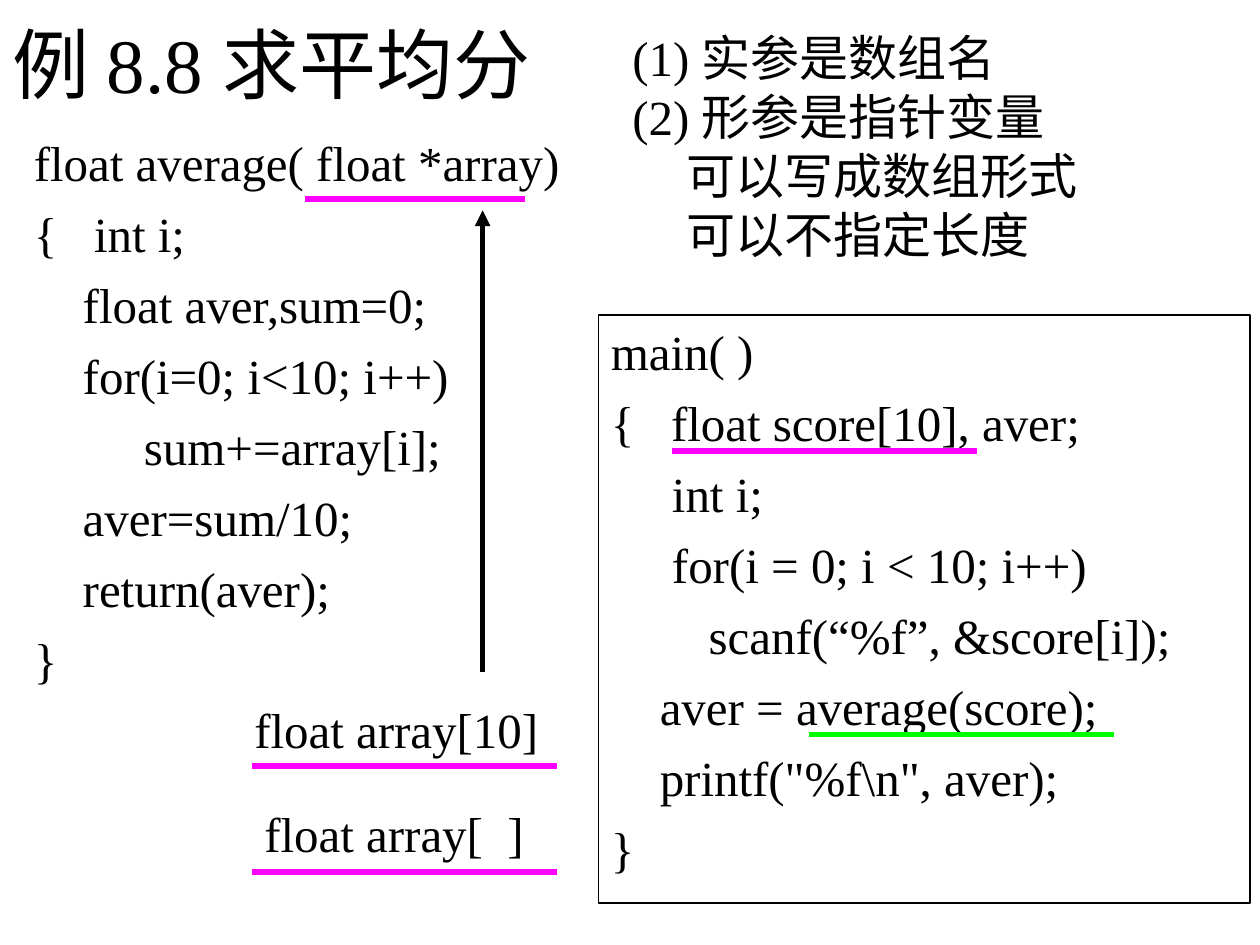
from dataclasses import dataclass

from lxml import etree
from pptx import Presentation
from pptx.dml.color import RGBColor
from pptx.enum.shapes import MSO_CONNECTOR as Connector, MSO_SHAPE as Shape
from pptx.enum.text import MSO_ANCHOR as Anchor, PP_ALIGN as Align
from pptx.oxml.ns import qn
from pptx.util import Inches, Pt

COLORS = {"ink": "000000", "formal": "FF00FF", "call": "00FF00"}
FONT = "Times New Roman"
CODE_GAP = 7


@dataclass
class TextBlock:
    left: float
    top: float
    width: float
    height: float
    lines: list[str]
    size: float = 28
    gap: float = 0
    anchor: Anchor = Anchor.TOP
    framed: bool = False
    indented_from: int | None = None


@dataclass
class Line:
    start: tuple[float, float]
    end: tuple[float, float]
    color: str
    arrow: bool = False


def rgb(name: str) -> RGBColor:
    return RGBColor.from_string(COLORS[name])


def add_block(slide, block: TextBlock) -> None:
    area = [Inches(v) for v in (block.left, block.top, block.width, block.height)]
    if block.framed:
        box = slide.shapes.add_shape(Shape.RECTANGLE, *area)
        box.shadow.inherit = False
        box.fill.background()
        box.line.color.rgb = rgb("ink")
        box.line.width = Pt(1)
    else:
        box = slide.shapes.add_textbox(*area)
    frame = box.text_frame
    frame.word_wrap = True
    frame.vertical_anchor = block.anchor
    for i, line in enumerate(block.lines):
        paragraph = frame.paragraphs[0] if i == 0 else frame.add_paragraph()
        paragraph.alignment = Align.LEFT
        if i and block.gap:
            paragraph.space_before = Pt(block.gap)
        if block.indented_from is not None and i >= block.indented_from:
            paragraph._p.get_or_add_pPr().set("marL", str(Inches(0.43)))
        run = paragraph.add_run()
        run.text = line
        run.font.name = FONT
        run.font.size = Pt(block.size)
        run.font.color.rgb = rgb("ink")


def add_line(slide, line: Line) -> None:
    points = [Inches(v) for v in (*line.start, *line.end)]
    stroke = slide.shapes.add_connector(Connector.STRAIGHT, *points)
    stroke.line.color.rgb = rgb(line.color)
    stroke.line.width = Pt(3)
    if line.arrow:
        etree.SubElement(stroke.line._get_or_add_ln(), qn("a:tailEnd"), type="triangle")
    etree.SubElement(stroke._element.spPr, qn("a:effectLst"))


def underline(left: float, top: float, width: float, color: str) -> Line:
    return Line((left, top), (left + width, top), color)


TITLE = TextBlock(0, 0, 5, 1, ["例 8.8 求平均分"], size=44, anchor=Anchor.MIDDLE)
AVERAGE_CODE = TextBlock(0.17, 1, 4.92, 4.5, [
    "float average( float *array)",
    "{   int i;",
    "    float aver,sum=0;",
    "    for(i=0; i<10; i++)",
    "         sum+=array[i];",
    "    aver=sum/10;",
    "    return(aver);",
    "}",
], gap=CODE_GAP)
MAIN_CODE = TextBlock(4.75, 2.5, 5.17, 4.67, [
    "main( )",
    "{   float score[10], aver;",
    "     int i;",
    "     for(i = 0; i < 10; i++)",
    "        scanf(“%f”, &score[i]);",
    "    aver = average(score);",
    '    printf("%f\\n", aver);',
    "}",
], gap=CODE_GAP, framed=True)
NOTES = TextBlock(4.92, 0.17, 4.58, 2.43, [
    "(1) 实参是数组名",
    "(2) 形参是指针变量",
    "可以写成数组形式",
    "可以不指定长度",
], indented_from=2)
SIZED_ARRAY = TextBlock(1.92, 5.5, 2.58, 0.56, ["float array[10]"])
UNSIZED_ARRAY = TextBlock(2, 6.33, 2.58, 0.56, ["float array[  ]"])

LONG = 2.42
LINES = [
    underline(5.33, 3.58, LONG, "formal"),  # array argument
    underline(2.42, 1.58, 1.75, "formal"),  # pointer parameter
    Line((3.83, 5.33), (3.83, 1.67), "ink", arrow=True),
    underline(2, 6.08, LONG, "formal"),  # sized array
    underline(2, 6.92, LONG, "formal"),  # unsized array
    underline(6.42, 5.83, LONG, "call"),  # function call
]


def main() -> None:
    deck = Presentation()
    deck.slide_width, deck.slide_height = Inches(10), Inches(7.5)
    slide = deck.slides.add_slide(deck.slide_layouts[6])

    # Title, code listings, notes and equivalent parameter forms
    for block in (TITLE, AVERAGE_CODE, MAIN_CODE, NOTES, SIZED_ARRAY, UNSIZED_ARRAY):
        add_block(slide, block)

    # Underlines and the arrow to the parameter
    for line in LINES:
        add_line(slide, line)

    deck.save("out.pptx")


if __name__ == "__main__":
    main()
